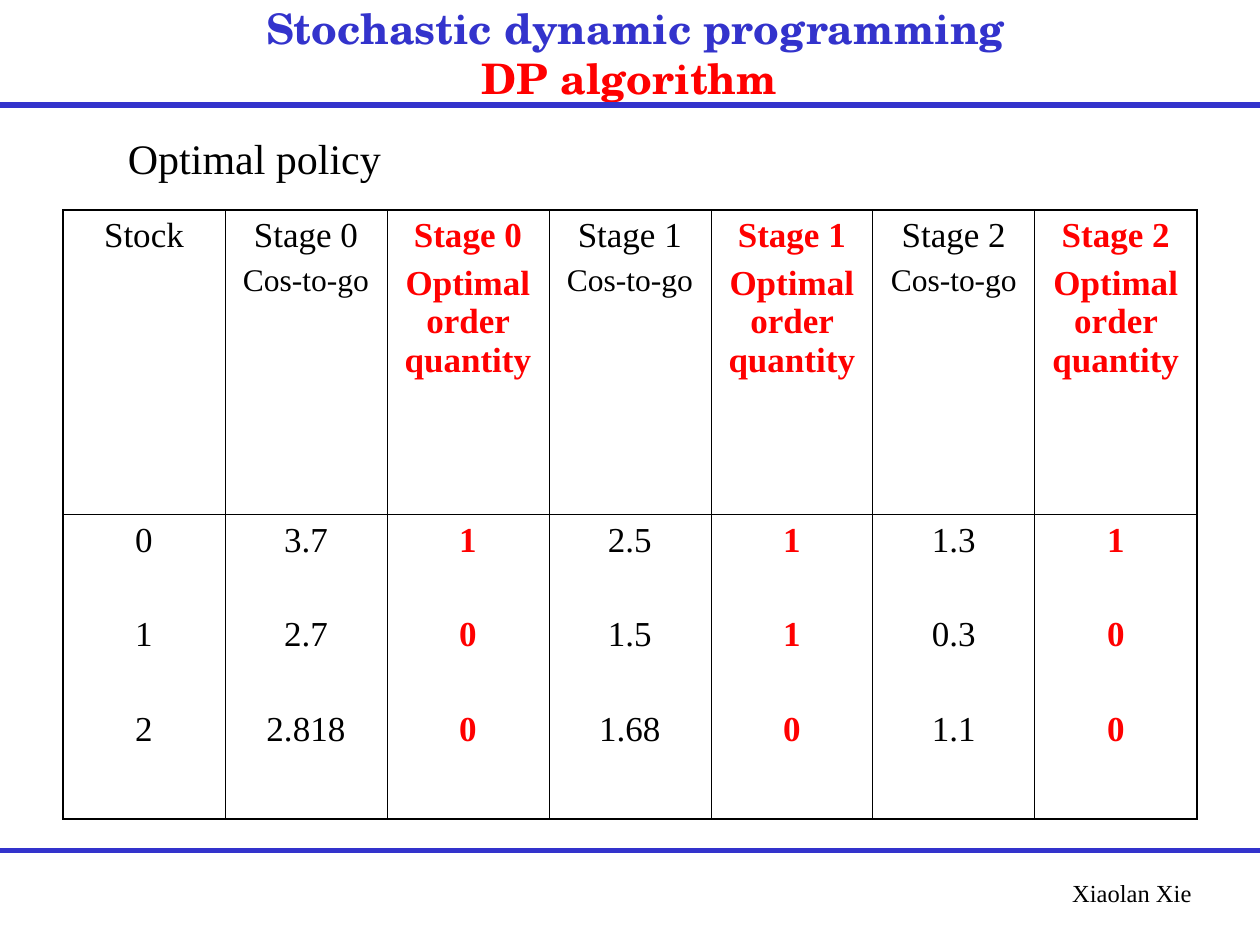
"""Build the slide with the optimal policy table of a stochastic dynamic program."""
from lxml.etree import SubElement
from pptx import Presentation
from pptx.dml.color import RGBColor as RGB
from pptx.enum.shapes import MSO_CONNECTOR as Connector
from pptx.enum.text import MSO_ANCHOR as Anchor, PP_ALIGN as Align
from pptx.oxml.ns import qn
from pptx.util import Pt

COLORS = {"blue": "3333CC", "red": "FF0000", "black": "000000"}
SERIF, TITLE_FONT = "Times New Roman", "TeX Gyre Schola"

TITLE = [("Stochastic dynamic programming", "blue"), ("DP algorithm ", "red")]
HEADING = "Optimal policy"
AUTHOR = "Xiaolan Xie"
COST, ORDER = "Cos-to-go", "Optimal order quantity"
COLUMNS = [
    (["Stock"], ["0", "1", "2"]),
    (["Stage 0", COST], ["3.7", "2.7", "2.818"]),
    (["Stage 0", ORDER], ["1", "0", "0"]),
    (["Stage 1", COST], ["2.5", "1.5", "1.68"]),
    (["Stage 1", ORDER], ["1", "1", "0"]),
    (["Stage 2", COST], ["1.3", "0.3", "1.1"]),
    (["Stage 2", ORDER], ["1", "0", "0"]),
]

WIDTH, HEIGHT = 720, 540
RULES = [60, 486]
TABLE = (36, 120, 648, 348)
OUTER, INNER = 1.08, 0.45
HEADER_GAP, VALUE_GAP = 5, 32


def style(font, size, color="black", bold=False, name=SERIF):
    font.name, font.size, font.bold = name, Pt(size), bold
    font.color.rgb = RGB.from_string(COLORS[color])


def add_rule(s, y):
    line = s.shapes.add_connector(Connector.STRAIGHT, 0, Pt(y), Pt(WIDTH), Pt(y))
    line.line.color.rgb = RGB.from_string(COLORS["blue"])
    line.line.width = Pt(3)
    SubElement(line._element.spPr, qn("a:effectLst"))


def add_text(s, text, box, size, align):
    tf = s.shapes.add_textbox(*map(Pt, box)).text_frame
    tf.word_wrap = True
    p = tf.paragraphs[0]
    p.text, p.alignment = text, align
    style(p.font, size)


def set_borders(cell, widths):
    tc_pr = cell._tc.get_or_add_tcPr()
    for side, width in widths.items():
        ln = SubElement(tc_pr, qn(f"a:ln{side}"), w=str(Pt(width)))
        fill = SubElement(ln, qn("a:solidFill"))
        SubElement(fill, qn("a:srgbClr"), val=COLORS["black"])


def fill_cell(cell, lines, gap, emphasis):
    cell.fill.background()
    tf = cell.text_frame
    tf.text = "\n".join(lines)
    for i, p in enumerate(tf.paragraphs):
        p.alignment = Align.CENTER
        if i:
            p.space_before = Pt(gap)
        style(p.font, 18 if p.text == COST else 20, "red" if emphasis else "black", emphasis)


def add_policy_table(s):
    table = s.shapes.add_table(2, len(COLUMNS), *map(Pt, TABLE)).table
    table.first_row = table.horz_banding = False
    last = len(COLUMNS) - 1
    for c, column in enumerate(COLUMNS):
        for r, (lines, gap) in enumerate(zip(column, (HEADER_GAP, VALUE_GAP))):
            cell = table.cell(r, c)
            set_borders(cell, {
                "L": OUTER if c == 0 else INNER,
                "R": OUTER if c == last else INNER,
                "T": OUTER if r == 0 else INNER,
                "B": OUTER if r == 1 else INNER,
            })
            fill_cell(cell, lines, gap, ORDER in column[0])


def set_title(s):
    sp = s.shapes.title
    sp.left, sp.top, sp.width, sp.height = map(Pt, (30, 6, 666, 48))
    tf = sp.text_frame
    tf.vertical_anchor = Anchor.MIDDLE
    p = tf.paragraphs[0]
    p.alignment = Align.CENTER
    for i, (text, color) in enumerate(TITLE):
        if i:
            p.add_line_break()
        r = p.add_run()
        r.text = text
        style(r.font, 24, color, True, TITLE_FONT)


def main():
    prs = Presentation()
    prs.slide_width, prs.slide_height = Pt(WIDTH), Pt(HEIGHT)
    s = prs.slides.add_slide(prs.slide_layouts[5])
    for y in RULES:
        add_rule(s, y)
    add_text(s, AUTHOR, (526, 498, 162, 24), 14, Align.RIGHT)
    add_policy_table(s)
    add_text(s, HEADING, (66, 72, 414, 36), 24, Align.LEFT)
    set_title(s)
    prs.save("out.pptx")


if __name__ == "__main__":
    main()
